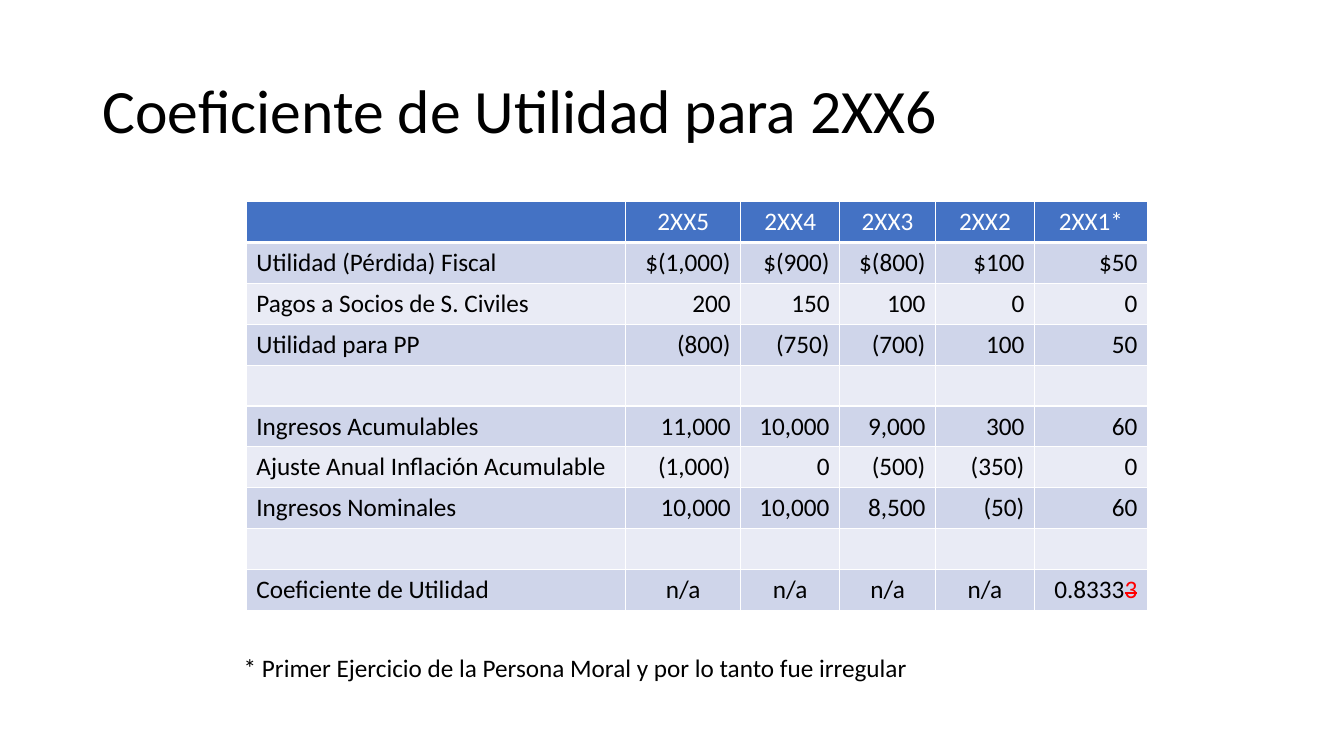
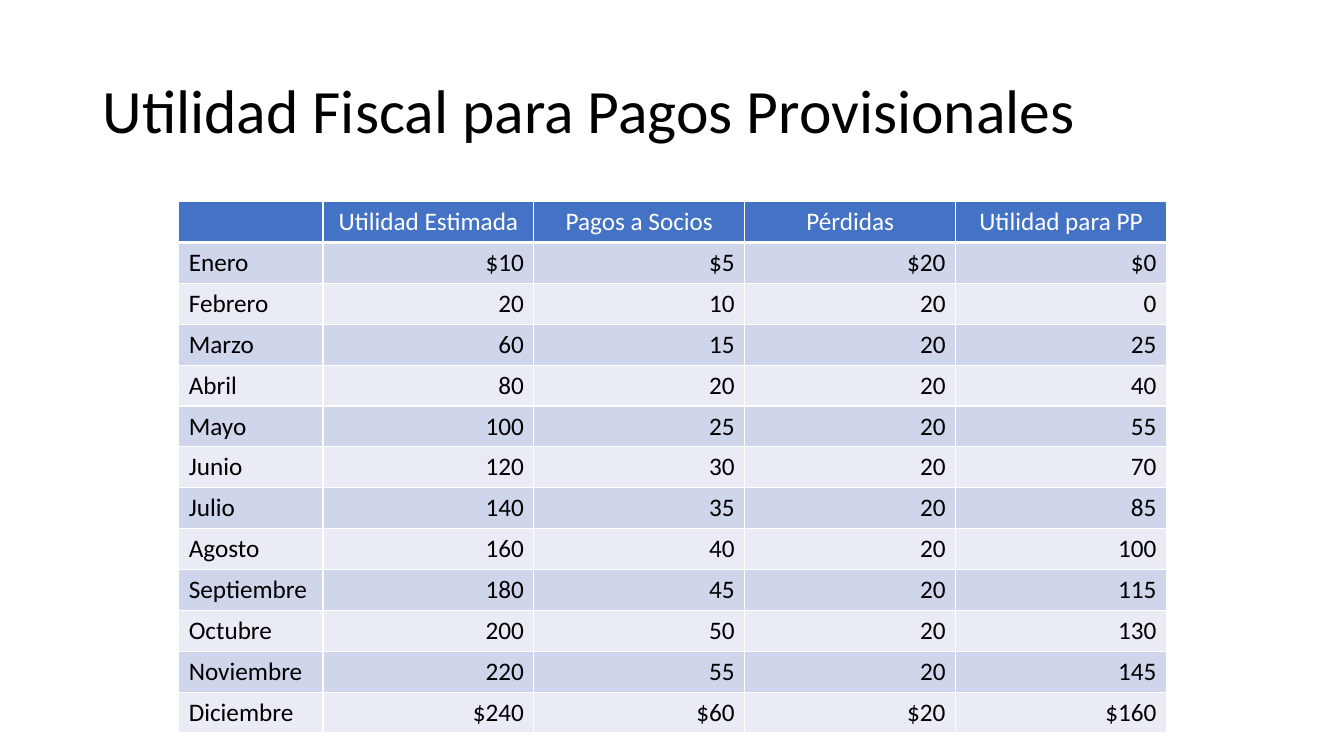
from dataclasses import dataclass

from lxml import etree
from pptx import Presentation
from pptx.dml.color import RGBColor
from pptx.enum.text import MSO_ANCHOR, MSO_AUTO_SIZE, PP_ALIGN
from pptx.oxml.ns import qn
from pptx.util import Inches, Pt

LEFT, MID, RIGHT = PP_ALIGN.LEFT, PP_ALIGN.CENTER, PP_ALIGN.RIGHT
MIDDLE = MSO_ANCHOR.MIDDLE
FIXED, GROW = MSO_AUTO_SIZE.NONE, MSO_AUTO_SIZE.SHAPE_TO_FIT_TEXT
WIDTH, HEIGHT = Inches(13.33), Inches(7.5)


@dataclass(frozen=True)
class Theme:
    font: str = "Calibri"
    title: int = 44
    body: int = 18
    ink: str = "000000"
    paper: str = "FFFFFF"
    head: str = "4472C4"
    bands: tuple = ("CFD5EA", "E9EBF5")
    alert: str = "FF0000"
    rule: int = 1
    heavy: int = 3


@dataclass(frozen=True)
class Box:
    left: float
    top: float
    width: float
    height: float

    def emu(self):
        return (int(WIDTH * self.left / 100), int(HEIGHT * self.top / 100),
                int(WIDTH * self.width / 100), int(HEIGHT * self.height / 100))


@dataclass(frozen=True)
class Struck:
    text: str


THEME = Theme()
TITLE = Box(6.88, 5.33, 86.25, 19.33)

RATIO = (
    ("", "2XX5", "2XX4", "2XX3", "2XX2", "2XX1*"),
    ("Utilidad (Pérdida) Fiscal", "$(1,000)", "$(900)", "$(800)", "$100", "$50"),
    ("Pagos a Socios de S. Civiles", "200", "150", "100", "0", "0"),
    ("Utilidad para PP", "(800)", "(750)", "(700)", "100", "50"),
    ("",) * 6,
    ("Ingresos Acumulables", "11,000", "10,000", "9,000", "300", "60"),
    ("Ajuste Anual Inflación Acumulable", "(1,000)", "0", "(500)", "(350)", "0"),
    ("Ingresos Nominales", "10,000", "10,000", "8,500", "(50)", "60"),
    ("",) * 6,
    ("Coeficiente de Utilidad", "n/a", "n/a", "n/a", "n/a", ("0.8333", Struck("3"))),
)

MONTHS = (
    ("", "Utilidad Estimada", "Pagos a Socios", "Pérdidas", "Utilidad para PP"),
    ("Enero", "$10", "$5", "$20", "$0"),
    ("Febrero", "20", "10", "20", "0"),
    ("Marzo", "60", "15", "20", "25"),
    ("Abril", "80", "20", "20", "40"),
    ("Mayo", "100", "25", "20", "55"),
    ("Junio", "120", "30", "20", "70"),
    ("Julio", "140", "35", "20", "85"),
    ("Agosto", "160", "40", "20", "100"),
    ("Septiembre", "180", "45", "20", "115"),
    ("Octubre", "200", "50", "20", "130"),
    ("Noviembre", "220", "55", "20", "145"),
    ("Diciembre", "$240", "$60", "$20", "$160"),
)


def add_run(para, part, size, color):
    struck = isinstance(part, Struck)
    run = para.add_run()
    run.text = part.text if struck else part
    font = run.font
    font.name, font.size, font.bold = THEME.font, Pt(size), False
    font.color.rgb = RGBColor.from_string(THEME.alert if struck else color)
    if struck:
        font._element.set("strike", "sngStrike")


def add_title(slide, box, text):
    shape = slide.shapes.title
    shape.left, shape.top, shape.width, shape.height = box.emu()
    frame = shape.text_frame
    frame.auto_size, frame.word_wrap = FIXED, True
    frame.vertical_anchor = MIDDLE
    para = frame.paragraphs[0]
    para.alignment, para.line_spacing = LEFT, 0.9
    add_run(para, text, THEME.title, THEME.ink)


def add_edges(cell, head):
    props = cell._tc.get_or_add_tcPr()
    for side in "LRTB":
        width = THEME.heavy if head and side == "B" else THEME.rule
        line = etree.SubElement(props, qn(f"a:ln{side}"), w=str(Pt(width)))
        fill = etree.SubElement(line, qn("a:solidFill"))
        etree.SubElement(fill, qn("a:srgbClr"), val=THEME.paper)


def fill_cell(cell, value, row, col):
    head = row == 0
    add_edges(cell, head)
    cell.fill.solid()
    shade = THEME.head if head else THEME.bands[(row - 1) % 2]
    cell.fill.fore_color.rgb = RGBColor.from_string(shade)
    para = cell.text_frame.paragraphs[0]
    para.font.size = Pt(THEME.body)
    if head or value == "n/a":
        para.alignment = MID
    else:
        para.alignment = RIGHT if col else LEFT
    parts = value if isinstance(value, tuple) else (value,)
    for part in parts:
        if part:
            add_run(para, part, THEME.body, THEME.paper if head else THEME.ink)


def add_grid(slide, box, data, shares):
    left, top, width, height = box.emu()
    table = slide.shapes.add_table(
        len(data), len(shares), left, top, width, height).table
    for column, share in zip(table.columns, shares):
        column.width = int(width * share / sum(shares))
    for row, values in enumerate(data):
        table.rows[row].height = height // len(data)
        for col, value in enumerate(values):
            fill_cell(table.cell(row, col), value, row, col)


def add_note(slide, box, text):
    frame = slide.shapes.add_textbox(*box.emu()).text_frame
    frame.word_wrap, frame.auto_size = False, GROW
    add_run(frame.paragraphs[0], text, THEME.body, THEME.ink)


def add_page(deck, title, box, data, shares):
    slide = deck.slides.add_slide(deck.slide_layouts[5])
    add_title(slide, TITLE, title)
    add_grid(slide, box, data, shares)
    return slide


def main():
    deck = Presentation()
    deck.slide_width, deck.slide_height = WIDTH, HEIGHT
    first = add_page(deck, "Coeficiente de Utilidad para 2XX6",
                     Box(18.33, 26.67, 67.05, 54.1), RATIO,
                     (3.76, 1.14, 0.98, 0.95, 0.98, 1.12))
    add_note(first, Box(17.4, 85.6, 51, 5.4),
             "* Primer Ejercicio de la Persona Moral y por lo tanto fue irregular")
    add_page(deck, "Utilidad Fiscal para Pagos Provisionales",
             Box(13.3, 26.67, 73.5, 70.3), MONTHS,
             (1.43, 2.09, 2.09, 2.09, 2.09))
    deck.save("out.pptx")


if __name__ == "__main__":
    main()
